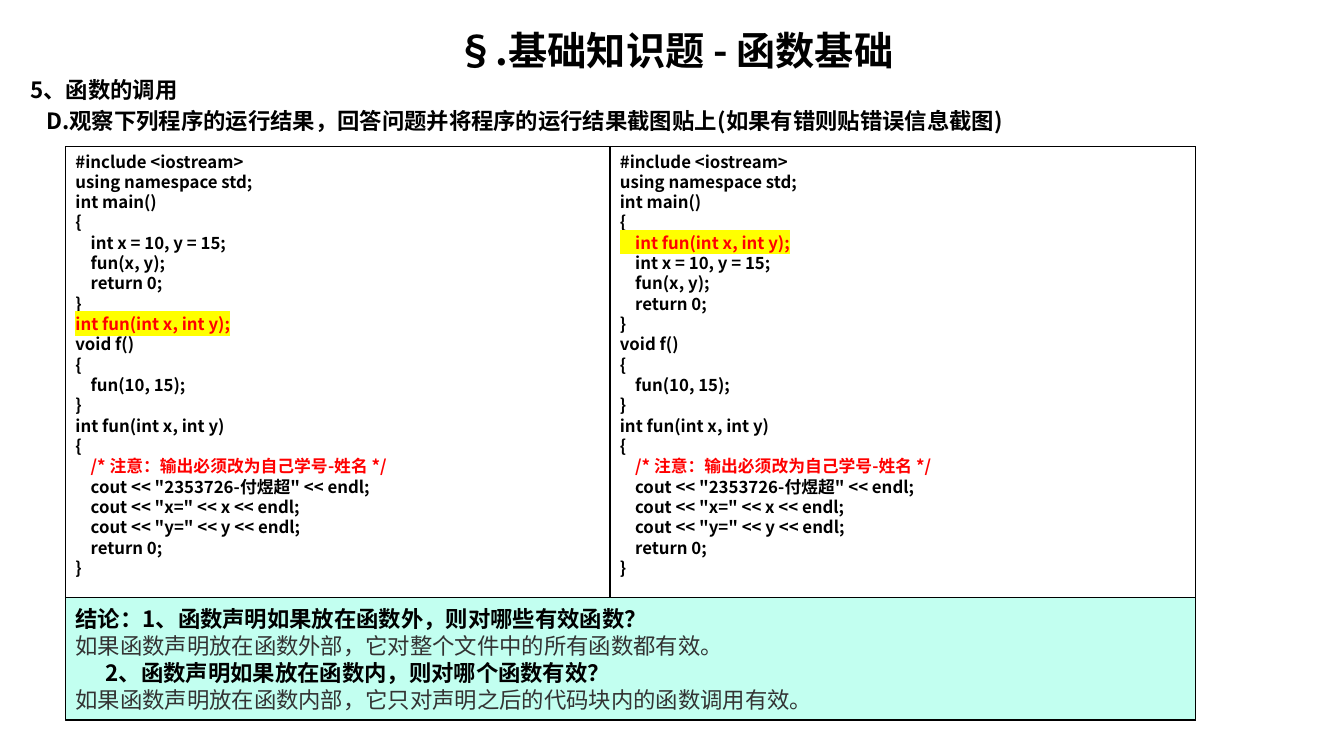
from lxml.etree import SubElement
from pptx import Presentation
from pptx.dml.color import RGBColor
from pptx.enum.shapes import MSO_SHAPE as Shape
from pptx.enum.text import MSO_ANCHOR as Anchor, PP_ALIGN as Align
from pptx.oxml.ns import qn
from pptx.util import Inches, Pt

BLACK = RGBColor(0x00, 0x00, 0x00)
RED = RGBColor(0xFF, 0x00, 0x00)
GRAY = RGBColor(0x33, 0x33, 0x33)
MINT = RGBColor(0xC2, 0xFF, 0xF0)
HIGHLIGHT = "FFFF00"
CJK_FONT = "Noto Sans CJK SC"
ANSWER_FONT = "Calibri"


def write_lines(shape, lines, size, anchor=Anchor.TOP, align=Align.LEFT, space=0):
    """Fill a shape with (text, style) lines; style may override the defaults."""
    frame = shape.text_frame
    frame.word_wrap = True
    frame.vertical_anchor = anchor
    for index, (text, style) in enumerate(lines):
        paragraph = frame.paragraphs[0] if index == 0 else frame.add_paragraph()
        run = paragraph.add_run()
        run.text = text
        paragraph.alignment = align
        paragraph.line_spacing = Pt(size * 1.21)
        paragraph.space_before = Pt(space if index else 0)
        if "indent" in style:
            properties = paragraph._p.get_or_add_pPr()
            properties.set("marL", str(Inches(style["indent"])))
            properties.set("indent", "0")
        font = paragraph.font
        font.size = Pt(size)
        font.bold = style.get("bold", True)
        font.color.rgb = style.get("color", BLACK)
        font.name = style.get("font", CJK_FONT)
        SubElement(font._element, qn("a:ea"), typeface=CJK_FONT)
        if "highlight" in style:
            mark = SubElement(run._r.get_or_add_rPr(), qn("a:highlight"))
            SubElement(mark, qn("a:srgbClr"), val=style["highlight"])


def add_box(left, top, width, height, fill=None):
    box = slide.shapes.add_shape(
        Shape.RECTANGLE, Inches(left), Inches(top), Inches(width), Inches(height))
    box.shadow.inherit = False
    box.line.color.rgb = BLACK
    box.line.width = Pt(0.75)
    if fill is None:
        box.fill.background()
    else:
        box.fill.solid()
        box.fill.fore_color.rgb = fill
    return box


presentation = Presentation()
presentation.slide_width = Inches(13.33)
presentation.slide_height = Inches(7.5)
slide = presentation.slides.add_slide(presentation.slide_layouts[0])

# Title and question
title, question = slide.placeholders
for placeholder, top, height in ((title, 0.24, 0.5), (question, 0.75, 0.65)):
    placeholder.left, placeholder.top = Inches(0.2), Inches(top)
    placeholder.width, placeholder.height = Inches(12.99), Inches(height)
    placeholder.text_frame.margin_top = placeholder.text_frame.margin_bottom = 0
write_lines(title, [("§.基础知识题 - 函数基础", {})], 28, Anchor.MIDDLE, Align.CENTER)
write_lines(question, [
    ("5、函数的调用", {}),
    ("D.观察下列程序的运行结果，回答问题并将程序的运行结果截图贴上"
     "(如果有错则贴错误信息截图)", {"indent": 0.16}),
], 16, space=3.2)

# Two programs that differ only in where fun is declared
PROGRAM = """#include <iostream>
using namespace std;
int main()
{
    int x = 10, y = 15;
    fun(x, y);
    return 0;
}
void f()
{
    fun(10, 15);
}
int fun(int x, int y)
{
    /* 注意：输出必须改为自己学号-姓名 */
    cout << "2353726-付煜超" << endl;
    cout << "x=" << x << endl;
    cout << "y=" << y << endl;
    return 0;
}""".split("\n")
DECLARATION = "int fun(int x, int y);"

for left, width, position, indent in ((0.65, 11.21, 8, ""), (6.05, 5.81, 4, "    ")):
    code = [(line, {"color": RED} if "/*" in line else {}) for line in PROGRAM]
    code.insert(position, (indent + DECLARATION, {"color": RED, "highlight": HIGHLIGHT}))
    write_lines(add_box(left, 1.45, width, 5.7), code, 12)

# Conclusions
answer = {"font": ANSWER_FONT, "color": GRAY, "bold": False}
write_lines(add_box(0.65, 5.93, 11.21, 1.21, MINT), [
    ("结论：1、函数声明如果放在函数外，则对哪些有效函数？", {}),
    ("如果函数声明放在函数外部，它对整个文件中的所有函数都有效。", answer),
    ("2、函数声明如果放在函数内，则对哪个函数有效？", {"indent": 0.3}),
    ("如果函数声明放在函数内部，它只对声明之后的代码块内的函数调用有效。", answer),
], 16, Anchor.MIDDLE)

presentation.save("out.pptx")
